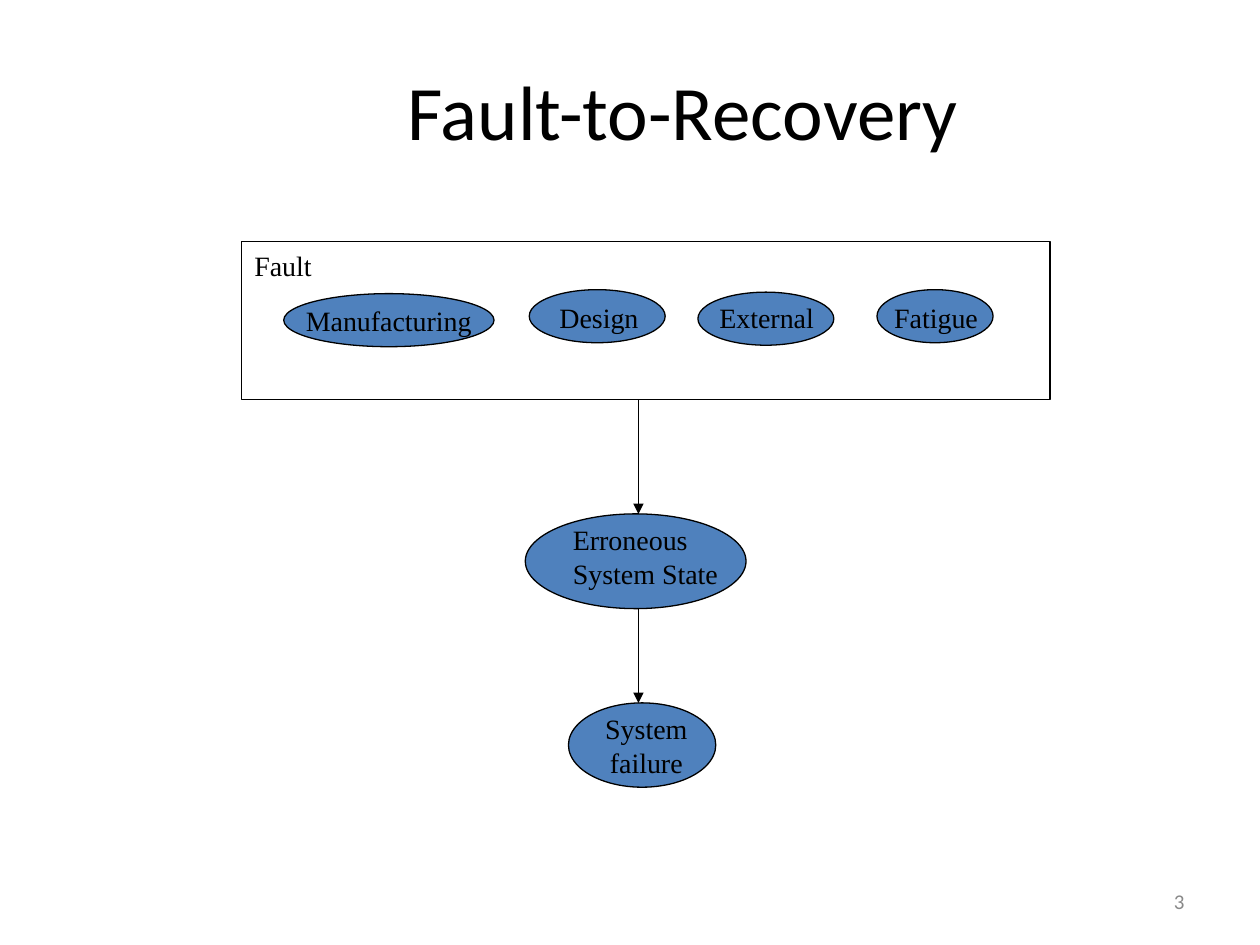
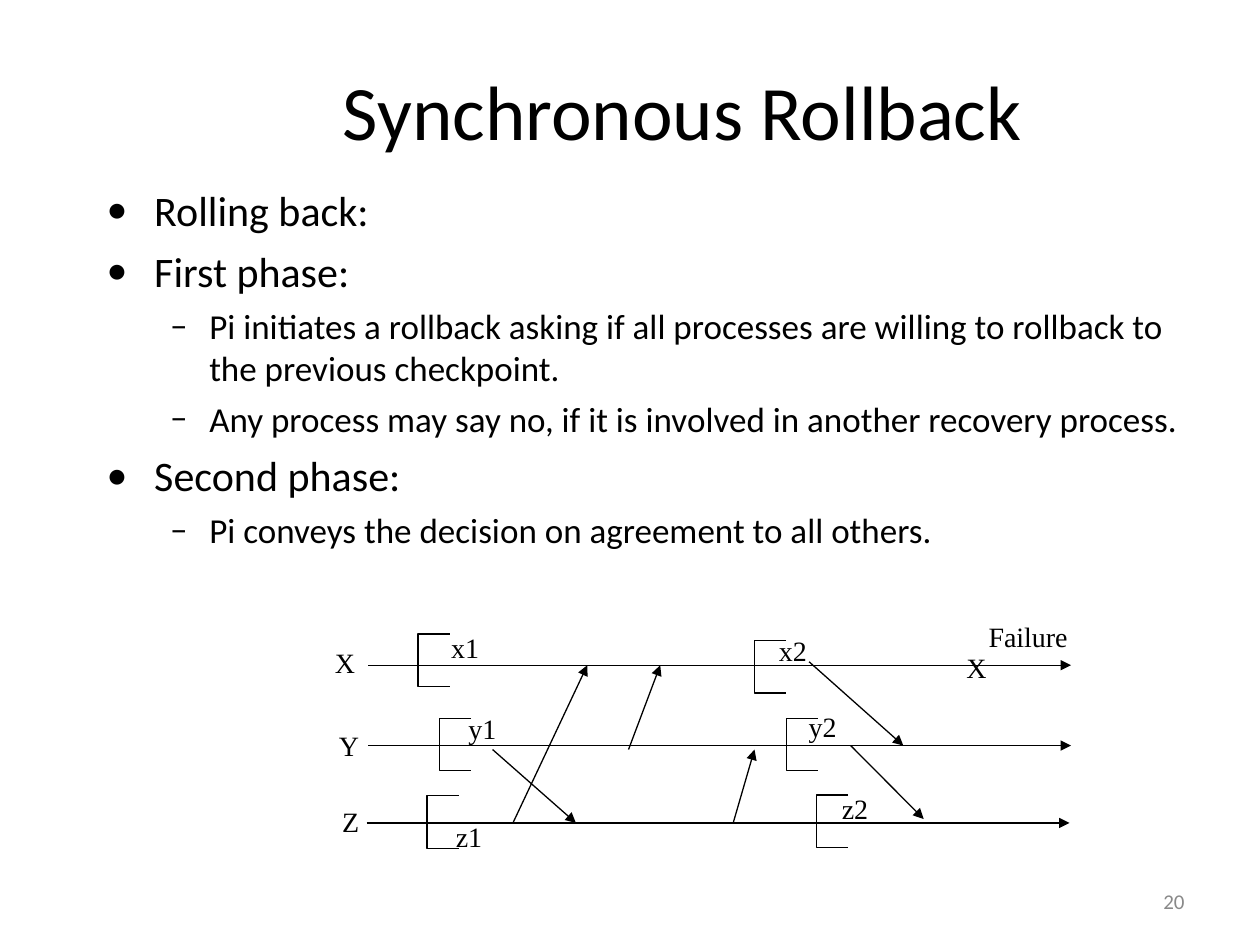
from dataclasses import dataclass

from lxml import etree
from pptx import Presentation
from pptx.dml.color import RGBColor
from pptx.enum.shapes import MSO_CONNECTOR, MSO_SHAPE
from pptx.enum.text import MSO_ANCHOR, MSO_AUTO_SIZE, PP_ALIGN
from pptx.oxml.ns import qn
from pptx.util import Cm, Pt

LEFT, MID, RIGHT = PP_ALIGN.LEFT, PP_ALIGN.CENTER, PP_ALIGN.RIGHT
TOP, CENTER = MSO_ANCHOR.TOP, MSO_ANCHOR.MIDDLE
GROW, FIXED = MSO_AUTO_SIZE.SHAPE_TO_FIT_TEXT, MSO_AUTO_SIZE.NONE
RECT, OVAL = MSO_SHAPE.RECTANGLE, MSO_SHAPE.OVAL
STRAIGHT = MSO_CONNECTOR.STRAIGHT


@dataclass(frozen=True)
class Theme:
    ink: RGBColor = RGBColor(0x00, 0x00, 0x00)
    blue: RGBColor = RGBColor(0x4F, 0x81, 0xBD)
    gray: RGBColor = RGBColor(0x89, 0x89, 0x89)
    sans: str = "Calibri"
    serif: str = "Times New Roman"
    title: Pt = Pt(44)
    point: Pt = Pt(24)
    detail: Pt = Pt(20)
    label: Pt = Pt(16)
    number: Pt = Pt(12)
    line: Pt = Pt(0.75)


THEME = Theme()
TITLE = {"name": THEME.sans, "size": THEME.title}
LABEL = {"name": THEME.serif, "size": THEME.label}
NUMBER = {"name": THEME.sans, "size": THEME.number}

# Per level: text size, space before, bullet, left indent and hanging part
LEVELS = (
    (THEME.point, Pt(6), "•", Cm(0.96), Cm(0.96)),
    (THEME.detail, Pt(5), "–", Cm(2.07), Cm(0.79)),
)
POINTS = (
    (0, "Rolling back:"),
    (0, "First phase:"),
    (1, "Pi initiates a rollback asking if all processes are willing "
        "to rollback to the previous checkpoint."),
    (1, "Any process may say no, if it is involved in another "
        "recovery process."),
    (0, "Second phase:"),
    (1, "Pi conveys the decision on agreement to all others."),
)

# Left, top, width, height in cm
CAUSES = (
    (5.72, 5.92, 4.24, 1.07),
    (10.67, 5.84, 2.74, 1.07),
    (14.07, 5.89, 2.74, 1.07),
    (17.68, 5.84, 2.34, 1.07),
)
STATES = ((10.59, 10.36, 4.45, 1.91), (11.46, 14.17, 2.97, 1.7))
NAMES = (
    ("Fault", 4.78, 4.88, 1.85),
    ("Design", 11.02, 5.92, 2.11),
    ("External", 14.2, 5.92, 2.51),
    ("Fatigue", 17.68, 5.92, 2.38),
)
FLOW_X = 12.87
FLOWS = ((8.05, 10.36), (12.27, 14.17))

# Process, line start, line end, line height, label left, label top, label width
TRACKS = (
    ("X", 7.42, 21.59, 13.41, 6.5, 12.88, 0.91),
    ("Y", 7.42, 21.59, 15.03, 6.58, 14.55, 0.91),
    ("Z", 7.39, 21.56, 16.59, 6.65, 16.08, 0.84),
)
MESSAGES = (
    (9.93, 15.11, 11.61, 16.59),
    (10.34, 16.59, 11.84, 13.41),
    (12.67, 15.11, 13.31, 13.41),
    (14.78, 16.59, 15.21, 15.11),
    (16.31, 13.34, 18.21, 15.03),
    (17.15, 15.03, 18.62, 16.51),
)
# Checkpoint, bracket left and top, label left and top
MARKS = (
    ("x1", 8.43, 12.78, 8.84, 12.57),
    ("y1", 8.86, 14.48, 9.19, 14.22),
    ("z1", 8.61, 16.04, 8.92, 16.38),
    ("x2", 15.21, 12.91, 15.45, 12.65),
    ("y2", 15.85, 14.48, 16.05, 14.17),
    ("z2", 16.46, 16.03, 16.7, 15.82),
)


def scale(*values):
    """Turn centimetres into lengths."""
    return [Cm(value) for value in values]


def assign(target, values):
    for key, value in values.items():
        setattr(target, key, value)


def write(frame, lines, font, color=THEME.ink, align=MID):
    for i, line in enumerate(lines):
        para = frame.paragraphs[0] if i == 0 else frame.add_paragraph()
        para.alignment = align
        run = para.add_run()
        run.text = line
        assign(run.font, font)
        run.font.color.rgb = color


def add_text(slide, box, lines, font, color=THEME.ink, align=MID,
             wrap=True, fit=FIXED):
    frame = slide.shapes.add_textbox(*scale(*box)).text_frame
    assign(frame, {"word_wrap": wrap, "auto_size": fit,
                   "vertical_anchor": CENTER})
    write(frame, lines, font, color, align)


def add_label(slide, text, left, top, width, align=MID):
    """Place a label whose height follows its number of lines."""
    lines = text.split("\n")
    height = 0.25 + 0.69 * len(lines)
    add_text(slide, (left, top, width, height), lines, LABEL, align=align,
             wrap=False, fit=GROW)


def outline(shape, fill=None):
    shape.shadow.inherit = False
    if fill is None:
        shape.fill.background()
    else:
        shape.fill.solid()
        shape.fill.fore_color.rgb = fill
    stroke(shape)


def stroke(shape):
    shape.line.color.rgb = THEME.ink
    shape.line.width = THEME.line


def add_node(slide, kind, box, fill=None):
    shape = slide.shapes.add_shape(kind, *scale(*box))
    outline(shape, fill)
    return shape


def add_arrow(slide, *ends):
    arrow = slide.shapes.add_connector(STRAIGHT, *scale(*ends))
    stroke(arrow)
    props = arrow.element.spPr
    etree.SubElement(props.find(qn("a:ln")), qn("a:tailEnd"), type="triangle")
    etree.SubElement(props, qn("a:effectLst"))


def add_mark(slide, left, top, width=0.64, height=1.06):
    """Draw a checkpoint as a bracket open to the right."""
    right, base = left + width, top + height
    path = slide.shapes.build_freeform(*scale(right, top))
    corners = ((left, top), (left, base), (right, base))
    path.add_line_segments([scale(*point) for point in corners], close=False)
    outline(path.convert_to_shape())


def add_points(slide, box, points):
    frame = slide.shapes.add_textbox(*scale(*box)).text_frame
    assign(frame, {"word_wrap": True, "vertical_anchor": TOP})
    for i, (level, text) in enumerate(points):
        size, space, sign, indent, hang = LEVELS[level]
        para = frame.paragraphs[0] if i == 0 else frame.add_paragraph()
        assign(para, {"level": level, "space_before": space,
                      "alignment": LEFT})
        run = para.add_run()
        run.text = text
        assign(run.font, {"name": THEME.sans, "size": size})
        run.font.color.rgb = THEME.ink
        props = para._p.get_or_add_pPr()
        props.set("marL", str(indent))
        props.set("indent", str(-hang))
        etree.SubElement(props, qn("a:buFont"), typeface=THEME.sans)
        etree.SubElement(props, qn("a:buChar"), char=sign)


def add_slide(deck, title, number):
    slide = deck.slides.add_slide(deck.slide_layouts[6])
    add_text(slide, (2.97, 0.62, 21.59, 3.18), [title], TITLE)
    add_text(slide, (18.21, 17.65, 5.92, 1.02), [str(number)], NUMBER,
             THEME.gray, RIGHT)
    return slide


def draw_faults(deck):
    slide = add_slide(deck, "Fault-to-Recovery", 3)
    add_node(slide, RECT, (4.87, 4.87, 16.3, 3.18))
    ovals = [add_node(slide, OVAL, box, THEME.blue)
             for box in CAUSES + STATES]
    frame = ovals[0].text_frame
    assign(frame, {"word_wrap": False, "vertical_anchor": CENTER})
    write(frame, ["Manufacturing"], LABEL)
    for name in NAMES:
        add_label(slide, *name)
    add_label(slide, "Erroneous\nSystem State", 11.3, 10.4, 3.43, LEFT)
    add_label(slide, "System\nfailure", 11.95, 14.21, 2.16)
    for start, end in FLOWS:
        add_arrow(slide, FLOW_X, start, FLOW_X, end)


def draw_rollback(deck):
    slide = add_slide(deck, "Synchronous Rollback", 20)
    add_points(slide, (1.9, 3.59, 22.43, 14.17), POINTS)
    for name, start, end, y, left, top, width in TRACKS:
        add_arrow(slide, start, y, end, y)
        add_label(slide, name, left, top, width)
    for ends in MESSAGES:
        add_arrow(slide, *ends)
    for name, left, top, text_x, text_y in MARKS:
        add_mark(slide, left, top)
        add_label(slide, name, text_x, text_y, 1.07)
    add_label(slide, "X", 19.23, 12.98, 0.91)
    add_label(slide, "Failure", 19.62, 12.35, 2.21)


def main():
    deck = Presentation()
    assign(deck, {"slide_width": Cm(25.4), "slide_height": Cm(19.05)})
    draw_faults(deck)
    draw_rollback(deck)
    deck.save("out.pptx")


if __name__ == "__main__":
    main()
